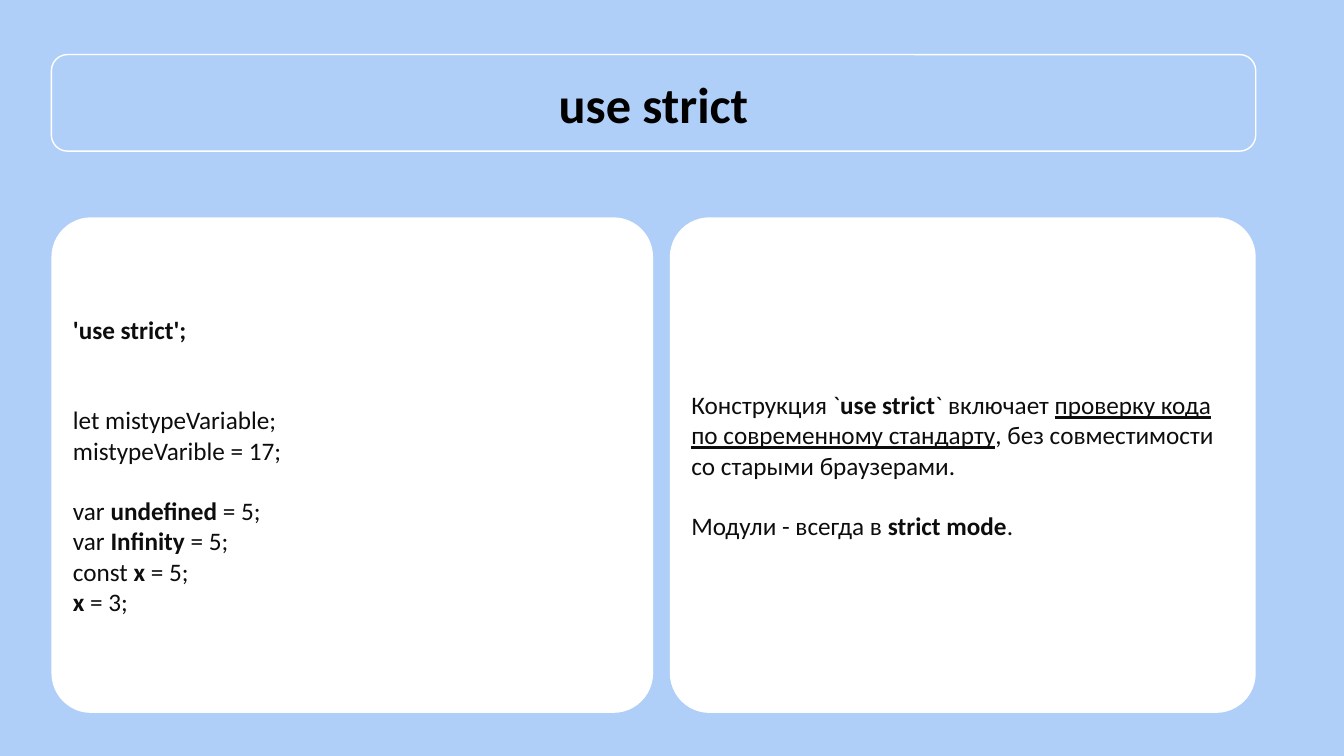
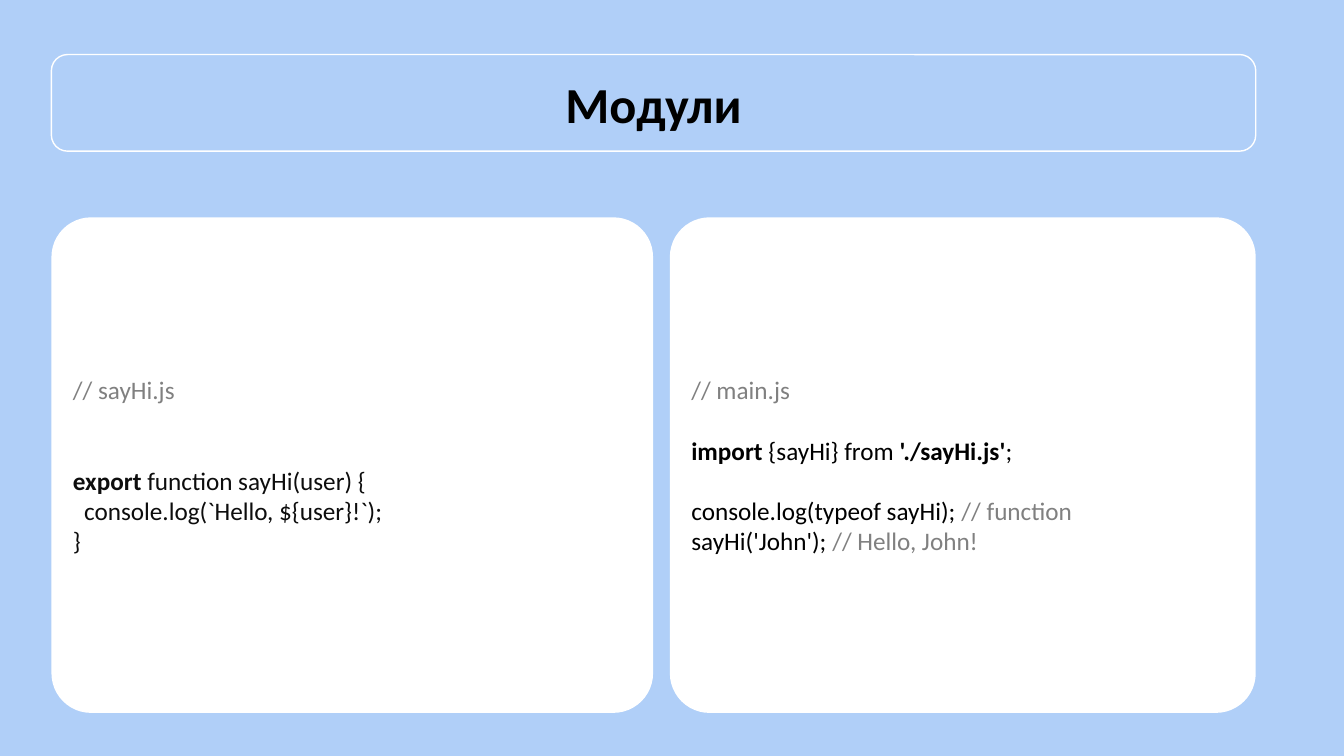
from dataclasses import dataclass

import pptx
import pptx.dml.color
import pptx.enum.shapes
import pptx.enum.text
import pptx.util

ALIGN = pptx.enum.text.PP_ALIGN


@dataclass(frozen=True)
class Theme:
    font: str = "Calibri"
    sky: str = "B0CFF8"
    white: str = "FFFFFF"
    ink: str = "0D0D0D"
    black: str = "000000"
    grey: str = "808080"
    title_size: int = 36
    body_size: int = 18
    blank_line: float = 21.6
    code_indent: int = 8


THEME = Theme()
WIDTH, HEIGHT = 1280, 720
LEFT, RIGHT = 49, 1196
TITLE_TOP, TITLE_HEIGHT = 52, 92
CARD_TOP, CARD_HEIGHT = 207, 472
CARD_SPLIT, CARD_GAP = 622, 16
CARD_CORNER = 0.08


def px(n):
    return pptx.util.Emu(n * 9525)


def rgb(color):
    return pptx.dml.color.RGBColor.from_string(color)


def add_text(p, text, size=THEME.body_size, color=THEME.ink, bold=False, underline=False):
    r = p.add_run()
    r.text = text
    r.font.name = THEME.font
    r.font.size = pptx.util.Pt(size)
    r.font.color.rgb = rgb(color)
    r.font.bold = bold
    r.font.underline = underline


def bold(text, **fmt):
    return text, dict(fmt, bold=True)


def comment(text):
    return text, dict(color=THEME.grey)


def line(*runs, blanks=0, indent=0):
    return runs, blanks, indent


def add_box(slide, left, top, width, height, fill=None, outline=None, corner=None):
    kind = pptx.enum.shapes.MSO_SHAPE.ROUNDED_RECTANGLE
    sp = slide.shapes.add_shape(kind, px(left), px(top), px(width), px(height))
    sp.shadow.inherit = False
    if corner:
        sp.adjustments[0] = corner
    if fill:
        sp.fill.solid()
        sp.fill.fore_color.rgb = rgb(fill)
    else:
        sp.fill.background()
    if outline:
        sp.line.color.rgb = rgb(outline)
        sp.line.width = pptx.util.Pt(1)
    else:
        sp.line.fill.background()
    tf = sp.text_frame
    tf.word_wrap = True
    tf.vertical_anchor = pptx.enum.text.MSO_ANCHOR.MIDDLE
    return tf


def add_title(slide, text):
    tf = add_box(slide, LEFT, TITLE_TOP, RIGHT - LEFT, TITLE_HEIGHT, outline=THEME.white)
    p = tf.paragraphs[0]
    p.alignment = ALIGN.CENTER
    add_text(p, text, size=THEME.title_size, color=THEME.black, bold=True)


def add_card(slide, left, right, lines):
    tf = add_box(slide, left, CARD_TOP, right - left, CARD_HEIGHT,
                 fill=THEME.white, corner=CARD_CORNER)
    for i, (runs, blanks, indent) in enumerate(lines):
        p = tf.add_paragraph() if i else tf.paragraphs[0]
        p.alignment = ALIGN.LEFT
        p.space_before = pptx.util.Pt(blanks * THEME.blank_line)
        if indent:
            margin = pptx.util.Pt(indent * THEME.code_indent)
            p._p.get_or_add_pPr().set("marL", str(margin))
        for run in runs:
            text, fmt = (run, {}) if isinstance(run, str) else run
            add_text(p, text, **fmt)


def add_slide(prs, title, left_lines, right_lines):
    slide = prs.slides.add_slide(prs.slide_layouts[6])
    add_card(slide, LEFT, CARD_SPLIT, left_lines)
    add_title(slide, title)
    add_card(slide, CARD_SPLIT + CARD_GAP, RIGHT, right_lines)


def main():
    prs = pptx.Presentation()
    prs.slide_width, prs.slide_height = px(WIDTH), px(HEIGHT)
    background = prs.slide_master.background.fill
    background.solid()
    background.fore_color.rgb = rgb(THEME.sky)

    add_slide(
        prs,
        "use strict",
        [
            line(bold("'use strict';")),
            line("let mistypeVariable;", blanks=2),
            line("mistypeVarible = 17;"),
            line("var ", bold("undefined "), "= 5;", blanks=1),
            line("var ", bold("Infinity "), "= 5;"),
            line("const ", bold("x"), " = 5;"),
            line(bold("x"), " = 3;"),
        ],
        [
            line("Конструкция `", bold("use strict"), "` включает ",
                 ("проверку кода по современному стандарту", dict(underline=True)),
                 ", без совместимости со старыми браузерами."),
            line("Модули - всегда в ", bold("strict mode"), ".", blanks=1),
        ],
    )

    black = dict(color=THEME.black)
    add_slide(
        prs,
        "Модули",
        [
            line(comment("// sayHi.js")),
            line(bold("export"), " function sayHi(user) {", blanks=2),
            line("console.log(`Hello, ${user}!`);", indent=1),
            line("}"),
        ],
        [
            line(comment("// main.js")),
            line(bold("import", **black), (" {sayHi} from ", black),
                 bold("'./sayHi.js'", **black), (";", black), blanks=1),
            line(("console.log(typeof sayHi); ", black), comment("// function"), blanks=1),
            line(("sayHi('John');", black), comment(" // Hello, John!")),
        ],
    )
    prs.save("out.pptx")


if __name__ == "__main__":
    main()
